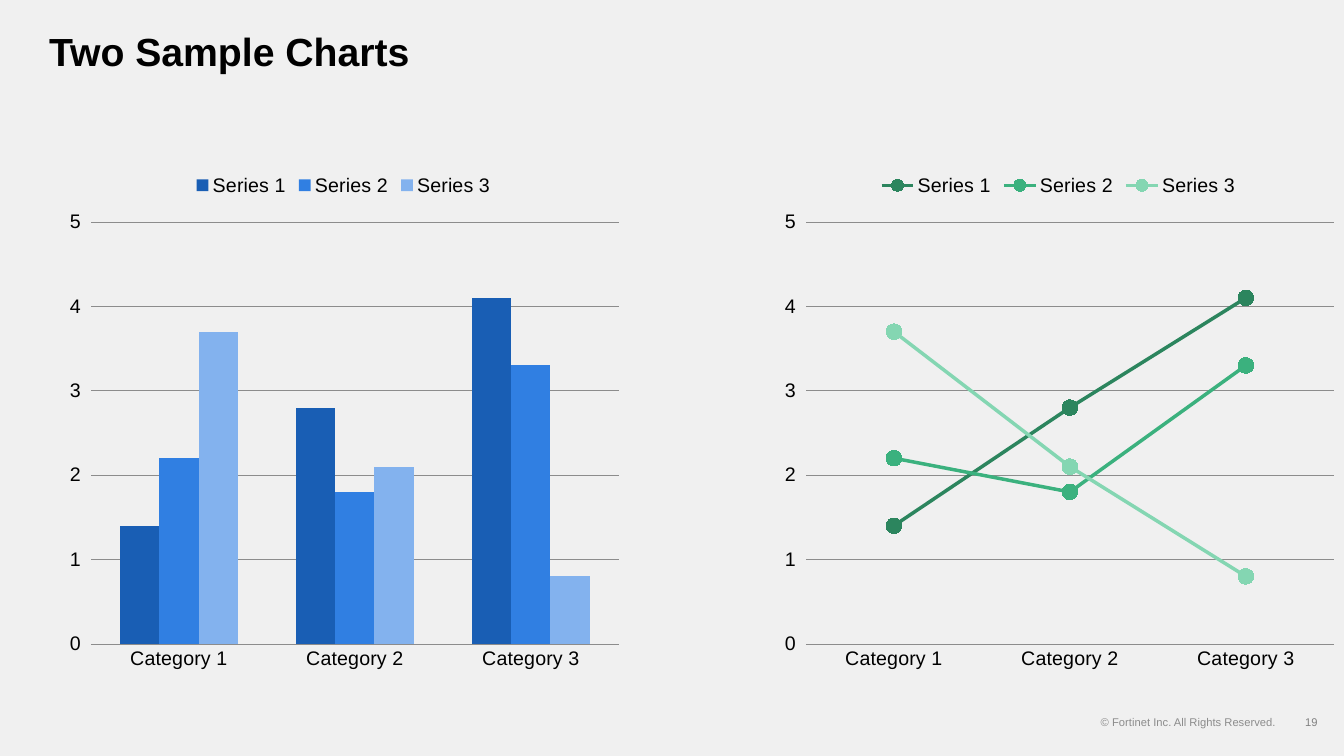
import pptx
import pptx.util
import pptx.chart.data
import pptx.dml.color
import pptx.enum.chart
import pptx.enum.text
import pptx.oxml
import pptx.oxml.ns
from dataclasses import dataclass

Kind = pptx.enum.chart.XL_CHART_TYPE
Tick = pptx.enum.chart.XL_TICK_MARK
Align = pptx.enum.text.PP_ALIGN
Pt = pptx.util.Pt
PX = 914400 / 100.8


@dataclass(frozen=True)
class Theme:
    face: str = "Arial"
    back: str = "F0F0F0"
    ink: str = "000000"
    rule: str = "8C8C8C"
    page: str = "808080"
    blues: tuple = ("195EB4", "307FE2", "83B2EE")
    greens: tuple = ("2C855E", "3BB17E", "84D6B2")
    title: int = 28
    label: int = 14
    small: int = 8


theme = Theme()


def box(*sizes):
    return [round(size * PX) for size in sizes]


def style(font, size, color, bold=False):
    font.name, font.size, font.bold = theme.face, Pt(size), bold
    font.color.rgb = pptx.dml.color.RGBColor.from_string(color)


# Slide and background
deck = pptx.Presentation()
deck.slide_width, deck.slide_height = box(1344, 756)
slide = deck.slides.add_slide(deck.slide_layouts[5])
slide.background.fill.solid()
slide.background.fill.fore_color.rgb = pptx.dml.color.RGBColor.from_string(theme.back)

# Title
title = slide.shapes.title
title.left, title.top, title.width, title.height = box(39, 29, 1249, 50)
frame = title.text_frame
frame.text = "Two Sample Charts"
frame.auto_size = pptx.enum.text.MSO_AUTO_SIZE.NONE
frame.vertical_anchor = pptx.enum.text.MSO_ANCHOR.MIDDLE
line = frame.paragraphs[0]
line.alignment, line.line_spacing = Align.LEFT, 0.9
style(line.font, theme.title, theme.ink, True)

# Footer
for text, left, width, align, color in (
    ("19", 1286, 51, Align.CENTER, theme.page),
    ("© Fortinet Inc. All Rights Reserved.", 1086, 200, Align.RIGHT, theme.rule),
):
    frame = slide.shapes.add_textbox(*box(left, 707, width, 30)).text_frame
    frame.word_wrap = True
    frame.vertical_anchor = pptx.enum.text.MSO_ANCHOR.MIDDLE
    frame.text = text
    frame.paragraphs[0].alignment = align
    style(frame.paragraphs[0].font, theme.small, color)

# Data shared by both charts
data = pptx.chart.data.CategoryChartData()
data.categories = ["Category 1", "Category 2", "Category 3"]
data.add_series("Series 1", (1.4, 2.8, 4.1))
data.add_series("Series 2", (2.2, 1.8, 3.3))
data.add_series("Series 3", (3.7, 2.1, 0.8))

# Place of the plot inside its chart, as shares of the chart
layout = (
    f'<c:layout {pptx.oxml.ns.nsdecls("c")}><c:manualLayout>'
    '<c:layoutTarget val="inner"/><c:xMode val="edge"/><c:yMode val="edge"/>'
    '<c:x val="0.06"/><c:y val="0.11"/><c:w val="0.92"/><c:h val="0.82"/>'
    "</c:manualLayout></c:layout>"
).replace('"0.06"', f'"{33 / 571}"').replace('"0.11"', f'"{59 / 517}"').replace(
    '"0.92"', f'"{528 / 571}"').replace('"0.82"', f'"{422 / 517}"')

# Line chart on the right, column chart on the left
for kind, left, colors in (
    (Kind.LINE_MARKERS, 773, theme.greens),
    (Kind.COLUMN_CLUSTERED, 58, theme.blues),
):
    chart = slide.shapes.add_chart(kind, *box(left, 163, 571, 517), data).chart
    chart.has_title = False
    style(chart.font, theme.label, theme.ink)
    area = chart.plots[0]
    area.vary_by_categories = False

    # Legend
    chart.has_legend = True
    chart.legend.position = pptx.enum.chart.XL_LEGEND_POSITION.TOP
    chart.legend.include_in_layout = False
    style(chart.legend.font, theme.label, theme.ink)

    # Axes and grid
    cats, vals = chart.category_axis, chart.value_axis
    vals.minimum_scale, vals.maximum_scale, vals.major_unit = 0, 5, 1
    vals.has_major_gridlines = True
    cats.major_tick_mark, vals.major_tick_mark = Tick.NONE, Tick.OUTSIDE
    vals.format.line.fill.background()
    for rule in (cats.format.line, vals.major_gridlines.format.line):
        rule.color.rgb = pptx.dml.color.RGBColor.from_string(theme.rule)
        rule.width = Pt(0.5)
    for axis in (cats, vals):
        style(axis.tick_labels.font, theme.label, theme.ink)

    # Plot place
    plot = chart.element.chart.plotArea
    for old in plot.findall(pptx.oxml.ns.qn("c:layout")):
        plot.remove(old)
    plot.insert(0, pptx.oxml.parse_xml(layout))

    # Series colours
    if kind == Kind.COLUMN_CLUSTERED:
        area.gap_width, area.overlap = 150, 0
    for series, color in zip(area.series, colors):
        shade = pptx.dml.color.RGBColor.from_string(color)
        fills = [series.format.fill]
        if kind == Kind.LINE_MARKERS:
            series.smooth = False
            series.format.line.color.rgb = shade
            series.format.line.width = Pt(2.5)
            series.marker.style = pptx.enum.chart.XL_MARKER_STYLE.CIRCLE
            series.marker.size = 11
            series.marker.format.line.color.rgb = shade
            fills = [series.marker.format.fill]
        for fill in fills:
            fill.solid()
            fill.fore_color.rgb = shade

deck.save("out.pptx")
